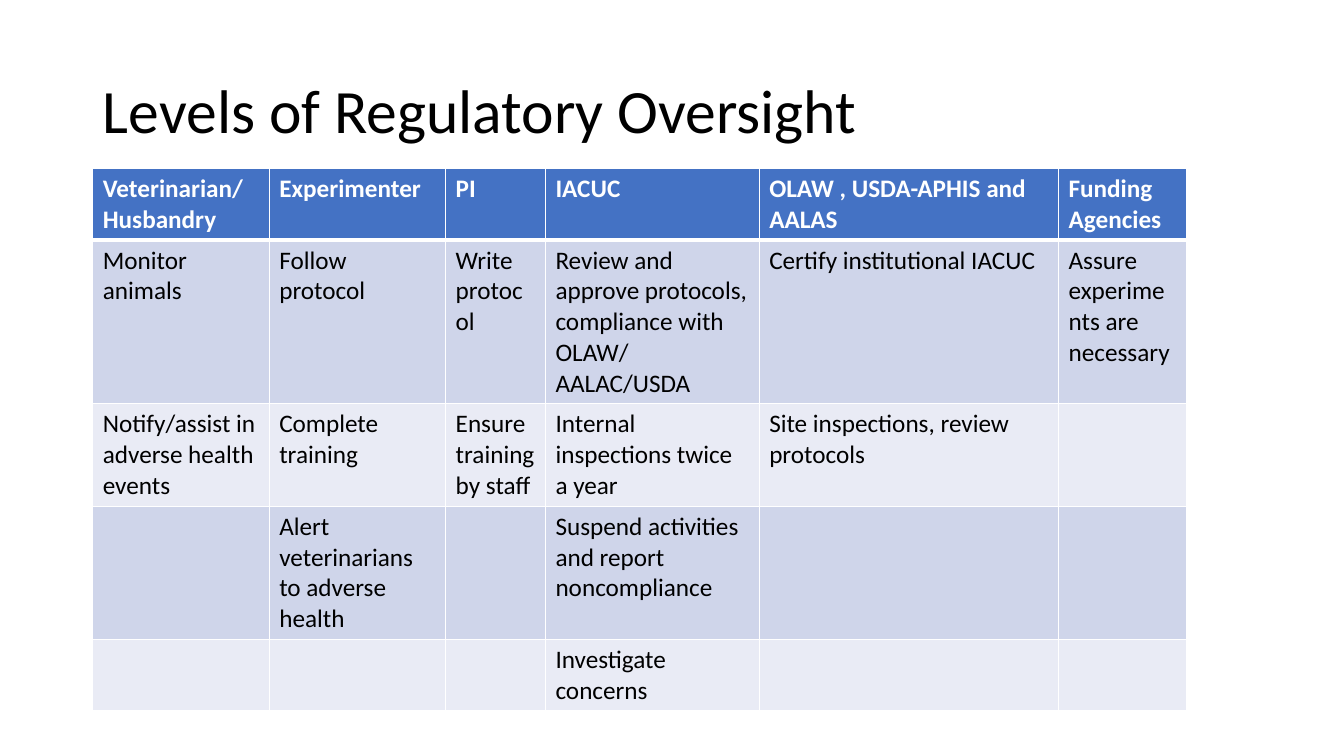
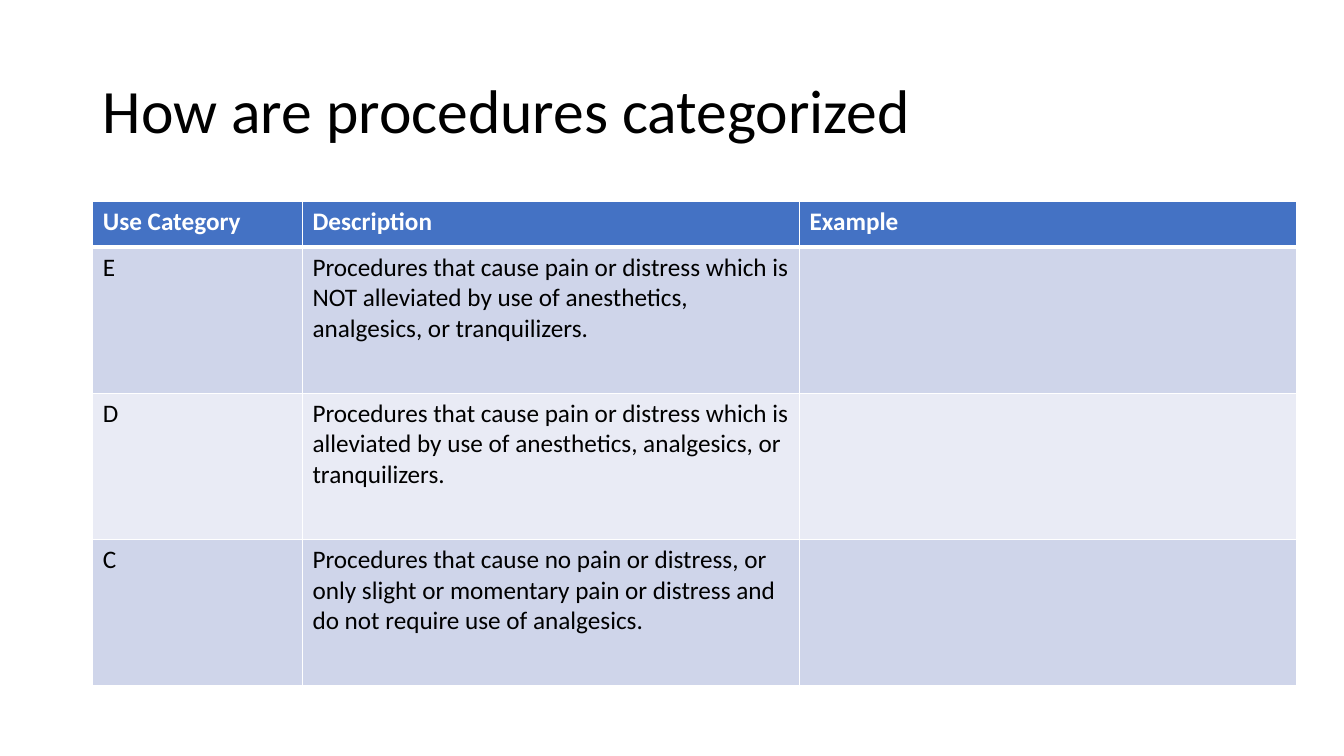
from dataclasses import dataclass

from lxml import etree
from pptx import Presentation
from pptx import util as u
from pptx.dml.color import RGBColor
from pptx.enum import text
from pptx.oxml import ns


@dataclass(frozen=True)
class Theme:
    font: str = "Calibri"
    title_size: int = 44
    table_size: int = 18
    ink: str = "000000"
    white: str = "FFFFFF"
    header: str = "4472C4"
    bands: tuple[str, str] = ("CFD5EA", "E9EBF5")
    thin: int = 1
    thick: int = 3
    left: float = 0.92


@dataclass(frozen=True)
class TableSlide:
    title: str
    top: float
    widths: tuple[float, ...]
    heights: tuple[float, ...]
    rows: tuple[tuple[str, ...], ...]


THEME = Theme()

SLIDES = (
    TableSlide(
        "Levels of Regulatory Oversight",
        1.67,
        (1.75, 1.75, 0.99, 2.12, 2.97, 1.27),
        (0.7, 1.62, 1.01, 1.31, 0.7),
        (
            ("Veterinarian/Husbandry", "Experimenter", "PI", "IACUC",
             "OLAW , USDA-APHIS and AALAS", "Funding Agencies"),
            ("Monitor animals", "Follow protocol", "Write protocol",
             "Review and approve protocols, compliance with OLAW/ AALAC/USDA",
             "Certify institutional IACUC", "Assure experiments are necessary"),
            ("Notify/assist in adverse health events", "Complete training",
             "Ensure training by staff", "Internal inspections twice a year",
             "Site inspections, review protocols", ""),
            ("", "Alert veterinarians to adverse health", "",
             "Suspend activities and report noncompliance", "", ""),
            ("", "", "", "Investigate concerns", "", ""),
        ),
    ),
    TableSlide(
        "How are procedures categorized",
        2,
        (2.08, 4.93, 4.93),
        (0.45, 1.45, 1.45, 1.45),
        (
            ("Use Category", "Description", "Example"),
            ("E", "Procedures that cause pain or distress which is NOT alleviated "
             "by use of anesthetics, analgesics, or tranquilizers.", ""),
            ("D", "Procedures that cause pain or distress which is alleviated "
             "by use of anesthetics, analgesics, or tranquilizers.", ""),
            ("C", "Procedures that cause no pain or distress, or only slight or momentary "
             "pain or distress and do not require use of analgesics.", ""),
        ),
    ),
)


def style_font(font, size: int, color: str, bold: bool = False) -> None:
    font.name = THEME.font
    font.size = u.Pt(size)
    font.bold = bold
    font.color.rgb = RGBColor.from_string(color)


def add_title(slide, wording: str) -> None:
    title = slide.shapes.title
    title.left, title.top = u.Inches(THEME.left), u.Inches(0.4)
    title.width, title.height = u.Inches(11.5), u.Inches(1.45)
    frame = title.text_frame
    frame.text = wording
    frame.word_wrap = True
    frame.auto_size = text.MSO_AUTO_SIZE.NONE
    frame.vertical_anchor = text.MSO_ANCHOR.MIDDLE
    paragraph = frame.paragraphs[0]
    paragraph.alignment = text.PP_ALIGN.LEFT
    paragraph.line_spacing = 0.9
    style_font(paragraph.font, THEME.title_size, THEME.ink)


def set_borders(cell, top: int, bottom: int) -> None:
    """Draw white cell borders, with widths in points."""
    properties = cell._tc.get_or_add_tcPr()
    widths = {"lnL": THEME.thin, "lnR": THEME.thin, "lnT": top, "lnB": bottom}
    for side, width in widths.items():
        line = etree.SubElement(properties, ns.qn(f"a:{side}"), w=str(u.Pt(width)))
        fill = etree.SubElement(line, ns.qn("a:solidFill"))
        etree.SubElement(fill, ns.qn("a:srgbClr"), val=THEME.white)


def style_cell(cell, wording: str, row: int) -> None:
    is_header = row == 0
    # Borders come before the fill in the cell properties
    set_borders(cell,
                top=THEME.thick if row == 1 else THEME.thin,
                bottom=THEME.thick if is_header else THEME.thin)
    cell.fill.solid()
    color = THEME.header if is_header else THEME.bands[(row - 1) % 2]
    cell.fill.fore_color.rgb = RGBColor.from_string(color)
    cell.text = wording
    style_font(cell.text_frame.paragraphs[0].font, THEME.table_size,
               THEME.white if is_header else THEME.ink, is_header)


def add_table(slide, content: TableSlide) -> None:
    table = slide.shapes.add_table(
        len(content.heights), len(content.widths),
        u.Inches(THEME.left), u.Inches(content.top),
        u.Inches(sum(content.widths)), u.Inches(sum(content.heights))).table
    for column, width in zip(table.columns, content.widths):
        column.width = u.Inches(width)
    for row, height in zip(table.rows, content.heights):
        row.height = u.Inches(height)
    for row_index, wordings in enumerate(content.rows):
        for column_index, wording in enumerate(wordings):
            style_cell(table.cell(row_index, column_index), wording, row_index)


def main() -> None:
    presentation = Presentation()
    presentation.slide_width = u.Inches(13.33)
    presentation.slide_height = u.Inches(7.5)
    title_only = presentation.slide_layouts[5]
    for content in SLIDES:
        slide = presentation.slides.add_slide(title_only)
        add_title(slide, content.title)
        add_table(slide, content)
    presentation.save("out.pptx")


if __name__ == "__main__":
    main()
